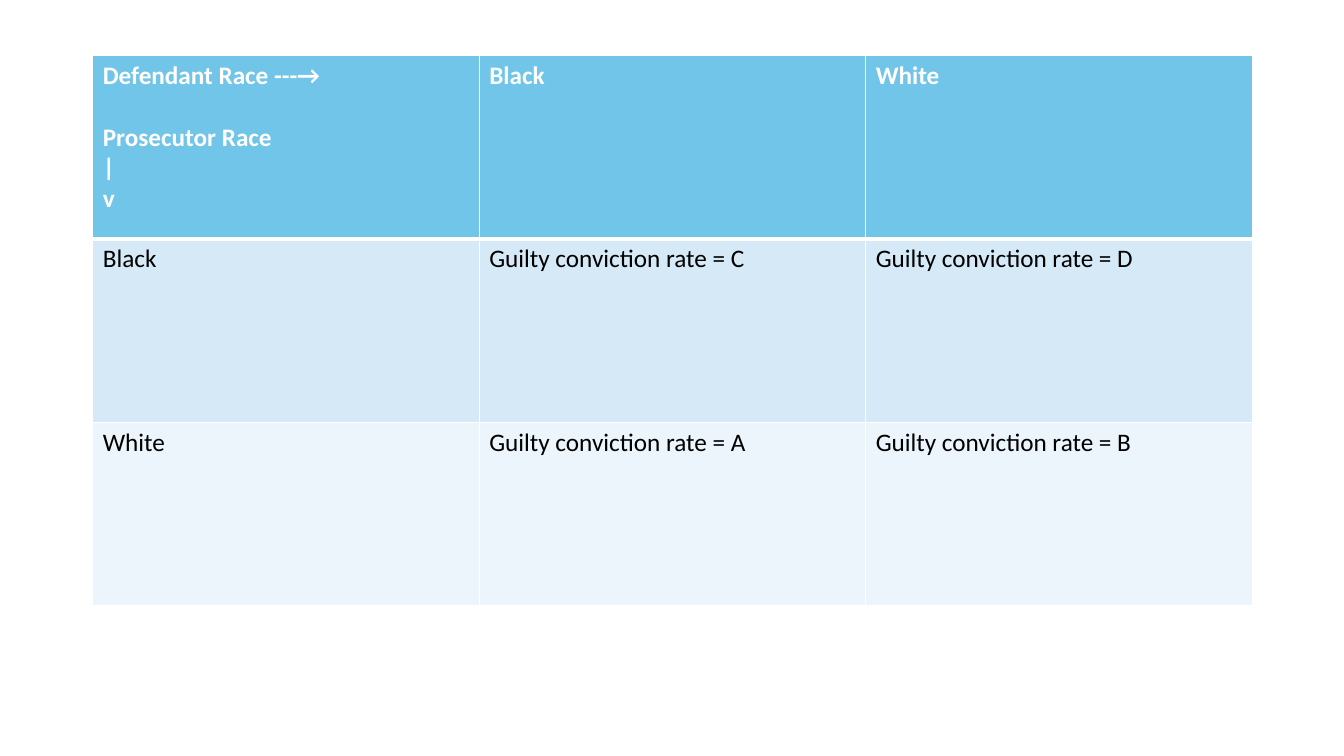
"""Build a slide with a table of conviction rates by prosecutor and defendant race."""
import dataclasses

import pptx
import pptx.dml.color
import pptx.oxml.xmlchemy
import pptx.table
import pptx.util
from lxml import etree
from pptx.oxml.ns import qn

Inches = pptx.util.Inches
Pt = pptx.util.Pt
RGBColor = pptx.dml.color.RGBColor

WHITE = RGBColor(0xFF, 0xFF, 0xFF)
BLACK = RGBColor(0x00, 0x00, 0x00)
HEADER_BLUE = RGBColor(0x71, 0xC5, 0xE8)
BAND_BLUE = RGBColor(0xD5, 0xEA, 0xF6)
PALE_BLUE = RGBColor(0xEB, 0xF5, 0xFB)

COLUMN_WIDTH = 11.5 / 3
ROW_HEIGHT = 1.82


@dataclasses.dataclass(frozen=True)
class RateRow:
    texts: tuple[str, ...]
    fill: RGBColor
    font_color: RGBColor = BLACK
    bold: bool = False
    top_border: float = 1
    bottom_border: float = 1


RATE_ROWS = (
    RateRow(("Defendant Race ---→\nProsecutor Race\n|\nv", "Black", "White"),
            HEADER_BLUE, WHITE, bold=True, bottom_border=3),
    RateRow(("Black", "Guilty conviction rate = C", "Guilty conviction rate = D"),
            BAND_BLUE, top_border=3),
    RateRow(("White", "Guilty conviction rate = A", "Guilty conviction rate = B"),
            PALE_BLUE),
)


def add_border(cell: pptx.table._Cell, side: str, width: float) -> None:
    """Add a white border to one side of a cell."""
    properties = cell._tc.get_or_add_tcPr()
    line = etree.SubElement(properties, qn(f"a:ln{side}"), w=str(Pt(width)))
    fill = etree.SubElement(line, qn("a:solidFill"))
    etree.SubElement(fill, qn("a:srgbClr"), val=str(WHITE))


def fill_cell(cell: pptx.table._Cell, text: str, row: RateRow) -> None:
    """Write and style one cell."""
    for side, width in (("L", 1), ("R", 1), ("T", row.top_border), ("B", row.bottom_border)):
        add_border(cell, side, width)
    cell.fill.solid()
    cell.fill.fore_color.rgb = row.fill
    cell.text_frame.text = text
    for paragraph in cell.text_frame.paragraphs:
        for run in paragraph.runs:
            run.font.name = "Calibri"
            run.font.size = Pt(18)
            run.font.bold = row.bold
            run.font.color.rgb = row.font_color


def main() -> None:
    """Create the presentation and save it."""
    presentation = pptx.Presentation()
    presentation.slide_width = Inches(13.33)
    presentation.slide_height = Inches(7.5)
    slide = presentation.slides.add_slide(presentation.slide_layouts[6])
    table = slide.shapes.add_table(
        len(RATE_ROWS), 3, Inches(0.92), Inches(0.55),
        Inches(3 * COLUMN_WIDTH), Inches(len(RATE_ROWS) * ROW_HEIGHT),
    ).table
    for column in table.columns:
        column.width = Inches(COLUMN_WIDTH)
    for row_index, row in enumerate(RATE_ROWS):
        table.rows[row_index].height = Inches(ROW_HEIGHT)
        for column_index, text in enumerate(row.texts):
            fill_cell(table.cell(row_index, column_index), text, row)
    prosecutor_paragraph = table.cell(0, 0).text_frame.paragraphs[1]
    prosecutor_paragraph.space_before = Pt(22)
    presentation.save("out.pptx")


if __name__ == "__main__":
    main()
